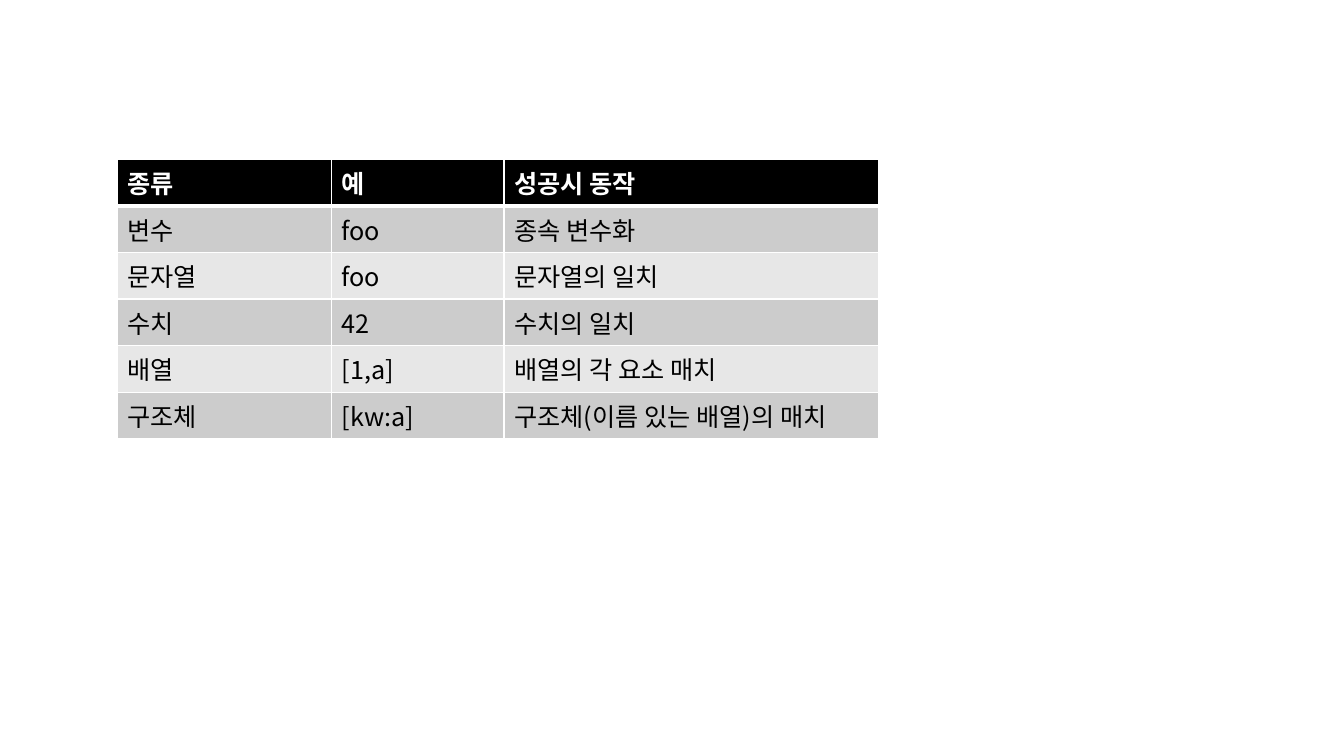
from dataclasses import dataclass

from lxml import etree
from pptx import Presentation
from pptx import util as u
from pptx.dml.color import RGBColor
from pptx.oxml import ns


@dataclass(frozen=True)
class Theme:
    font: str = "Noto Sans CJK KR"
    size: int = 18
    header_fill: str = "000000"
    header_text: str = "FFFFFF"
    body_text: str = "000000"
    bands: tuple = ("CCCCCC", "E7E7E7")
    border: str = "FFFFFF"
    thin: int = 1
    thick: int = 3


theme = Theme()


def set_borders(cell, bottom_width):
    """Draw the four cell edges, placed ahead of the fill."""
    properties = cell._tc.get_or_add_tcPr()
    for index, side in enumerate("LRTB"):
        width = bottom_width if side == "B" else theme.thin
        line = etree.Element(ns.qn(f"a:ln{side}"), w=str(u.Pt(width)))
        fill = etree.SubElement(line, ns.qn("a:solidFill"))
        etree.SubElement(fill, ns.qn("a:srgbClr"), val=theme.border)
        properties.insert(index, line)


# Page
deck = Presentation()
deck.slide_width = u.Inches(13.33)
deck.slide_height = u.Inches(7.5)
page = deck.slides.add_slide(deck.slide_layouts[6])

# Pattern kinds: header first, then one row per kind
pattern_rows = [
    ("종류", "예", "성공시 동작"),
    ("변수", "foo", "종속 변수화"),
    ("문자열", "foo", "문자열의 일치"),
    ("수치", "42", "수치의 일치"),
    ("배열", "[1,a]", "배열의 각 요소 매치"),
    ("구조체", "[kw:a]", "구조체(이름 있는 배열)의 매치"),
]
column_widths = [2.13, 1.71, 3.71]
row_height = 0.43

# Table frame
table = page.shapes.add_table(
    len(pattern_rows), len(column_widths),
    u.Inches(1.16), u.Inches(1.58),
    u.Inches(sum(column_widths)), u.Inches(row_height * len(pattern_rows)),
).table
for column, width in zip(table.columns, column_widths):
    column.width = u.Inches(width)
for row in table.rows:
    row.height = u.Inches(row_height)

# Cells
for row_index, row_values in enumerate(pattern_rows):
    is_header = row_index == 0
    fill_color = theme.header_fill if is_header else theme.bands[(row_index - 1) % 2]
    text_color = theme.header_text if is_header else theme.body_text
    for column_index, value in enumerate(row_values):
        cell = table.cell(row_index, column_index)
        cell.fill.solid()
        cell.fill.fore_color.rgb = RGBColor.from_string(fill_color)
        set_borders(cell, theme.thick if is_header else theme.thin)

        span = cell.text_frame.paragraphs[0].add_run()
        span.text = value
        span.font.name = theme.font
        span.font.size = u.Pt(theme.size)
        span.font.bold = is_header
        span.font.color.rgb = RGBColor.from_string(text_color)
        # Hangul takes its font from the East Asian slot
        etree.SubElement(span.font._element, ns.qn("a:ea"), typeface=theme.font)

deck.save("out.pptx")
